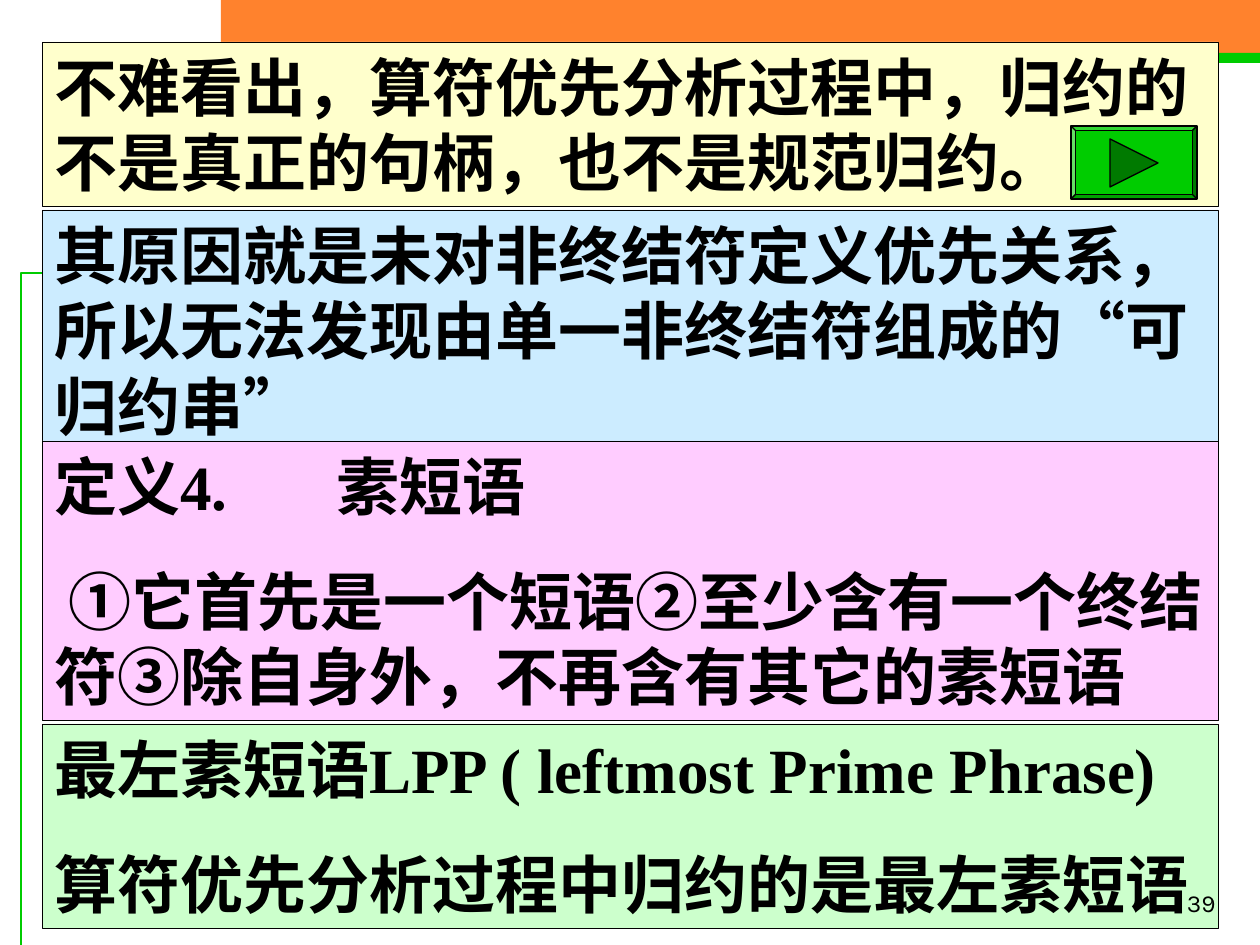
import pptx
import pptx.dml.color
import pptx.enum.shapes
import pptx.enum.text
import pptx.oxml.ns
import pptx.util
import lxml.etree

EMU_PER_PX = 914400 / 126
SHAPE = pptx.enum.shapes.MSO_SHAPE
ALIGN = pptx.enum.text.PP_ALIGN
ANCHOR = pptx.enum.text.MSO_ANCHOR

theme = {
    "orange": "FF822D", "green": "00CC00", "dark_green": "007A00", "black": "000000",
    "cream": "FFFFCC", "sky": "CCECFF", "pink": "FFCCFF", "mint": "CCFFCC",
    "body": {"name": "Times New Roman", "size": pptx.util.Pt(36), "bold": True},
    "number": {"name": "Karla", "size": pptx.util.Pt(14), "bold": False},
    "gap": pptx.util.Pt(22.5),
}


def px(*lengths):
    return [pptx.util.Emu(round(length * EMU_PER_PX)) for length in lengths]


def add_panel(kind, bounds, fill, line_width=0):
    panel = page.shapes.add_shape(kind, *px(*bounds))
    panel.shadow.inherit = False
    panel.fill.solid()
    panel.fill.fore_color.rgb = pptx.dml.color.RGBColor.from_string(theme[fill])
    if line_width:
        panel.line.width = pptx.util.Pt(line_width)
        panel.line.color.rgb = pptx.dml.color.RGBColor.from_string(theme["black"])
    else:
        panel.line.fill.background()
    return panel


deck = pptx.Presentation()
deck.slide_width, deck.slide_height = px(1260, 945)
page = deck.slides.add_slide(deck.slide_layouts[6])

add_panel(SHAPE.RECTANGLE, (221, 0, 1039, 53), "orange")
add_panel(SHAPE.RECTANGLE, (221, 53, 1039, 10), "green")

outline = page.shapes.build_freeform(21, 945, scale=EMU_PER_PX)
outline.add_line_segments([(21, 273), (966, 273)], close=False)
bracket = outline.convert_to_shape()
bracket.shadow.inherit = False
bracket.fill.background()
bracket.line.width = pptx.util.Pt(0.75)
bracket.line.color.rgb = pptx.dml.color.RGBColor.from_string(theme["green"])

statements = [
    (42, 164, "cream", ["不难看出，算符优先分析过程中，归约的不是真正的句柄，也不是规范归约。"]),
    (210, 239, "sky", ["其原因就是未对非终结符定义优先关系，所以无法发现由单一非终结符组成的“可归约串”"]),
    (441, 279, "pink", ["定义4.\t素短语", "①它首先是一个短语②至少含有一个终结符③除自身外，不再含有其它的素短语"]),
    (724, 204, "mint", ["最左素短语LPP ( leftmost Prime Phrase)", "算符优先分析过程中归约的是最左素短语"]),
]
text_boxes = []
for top, height, fill, lines in statements:
    box = add_panel(SHAPE.RECTANGLE, (42, top, 1176, height), fill, 0.25)
    text_boxes.append((box, lines, "body", ALIGN.LEFT, ANCHOR.TOP))

add_panel(SHAPE.BEVEL, (1071, 126, 126, 73), "green", 0.75).adjustments[0] = 0.06
arrow = add_panel(SHAPE.ISOSCELES_TRIANGLE, (1110, 139, 48, 48), "dark_green", 0.75)
arrow.rotation = 90

number_box = page.shapes.add_textbox(*px(966, 861, 262, 63))
text_boxes.append((number_box, ["39"], "number", ALIGN.RIGHT, ANCHOR.BOTTOM))

for box, lines, style, alignment, anchor in text_boxes:
    frame = box.text_frame
    frame.word_wrap = True
    frame.vertical_anchor = anchor
    for index, line in enumerate(lines):
        para = frame.add_paragraph() if index else frame.paragraphs[0]
        properties = para._p.get_or_add_pPr()
        if "\t" in line:
            tabs = lxml.etree.SubElement(properties, pptx.oxml.ns.qn("a:tabLst"))
            tab = lxml.etree.SubElement(tabs, pptx.oxml.ns.qn("a:tab"))
            tab.set("pos", str(px(282)[0]))
            tab.set("algn", "l")
        if line.startswith("①"):
            properties.set("marL", "0")
            properties.set("indent", str(px(14)[0]))
        para.alignment = alignment
        if index:
            para.space_before = theme["gap"]
        span = para.add_run()
        span.text = line
        for attribute, value in theme[style].items():
            setattr(span.font, attribute, value)
        span.font.color.rgb = pptx.dml.color.RGBColor.from_string(theme["black"])

deck.save("out.pptx")
